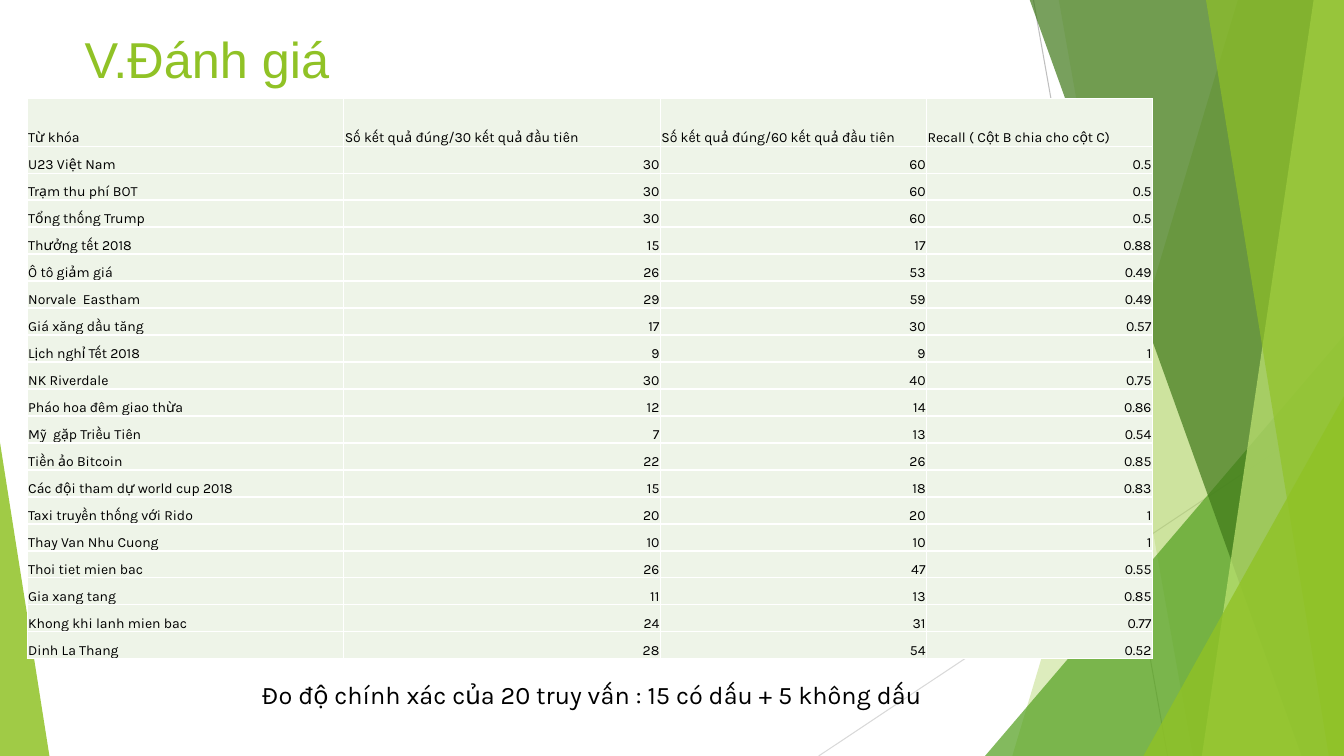
from lxml.etree import SubElement
from pptx import Presentation
from pptx.dml.color import RGBColor
from pptx.enum.shapes import MSO_CONNECTOR as CONN, MSO_SHAPE as SHAPE
from pptx.enum.text import MSO_ANCHOR as ANCHOR, PP_ALIGN as ALIGN
from pptx.oxml.ns import qn
from pptx.util import Inches, Pt

WIDTH, HEIGHT = 13.33, 7.5
GREEN = "90C226"
BLACK = "000000"
TABLE_FILL = "EEF4E8"
HEADERS = ["Từ khóa", "Số kết quả đúng/30 kết quả đầu tiên",
           "Số kết quả đúng/60 kết quả đầu tiên", "Recall ( Cột B chia cho cột C)"]
# Keyword, correct among the first 30, correct among the first 60
QUERIES = [
    ("U23 Việt Nam", 30, 60),
    ("Trạm thu phí BOT", 30, 60),
    ("Tổng thống Trump ", 30, 60),
    ("Thưởng tết 2018", 15, 17),
    ("Ô tô giảm giá", 26, 53),
    ("Norvale  Eastham", 29, 59),
    ("Giá xăng dầu tăng", 17, 30),
    ("Lịch nghỉ Tết 2018", 9, 9),
    ("NK Riverdale", 30, 40),
    ("Pháo hoa đêm giao thừa", 12, 14),
    ("Mỹ  gặp Triều Tiên", 7, 13),
    ("Tiền ảo Bitcoin", 22, 26),
    ("Các đội tham dự world cup 2018", 15, 18),
    ("Taxi truyền thống với Rido", 20, 20),
    ("Thay Van Nhu Cuong", 10, 10),
    ("Thoi tiet mien bac", 26, 47),
    ("Gia xang tang", 11, 13),
    ("Khong khi lanh mien bac", 24, 31),
    ("Dinh La Thang", 28, 54),
]


def rgb(color):
    """Turn a hex string into a colour."""
    return RGBColor.from_string(color)


def style_font(p, name, size, color):
    """Set the font of a whole paragraph."""
    p.font.name = name
    p.font.size = Pt(size)
    p.font.color.rgb = rgb(color)


def paint(sp, color, opacity):
    """Give a shape a see-through fill without line or shadow."""
    sp.shadow.inherit = False
    sp.line.fill.background()
    sp.fill.solid()
    sp.fill.fore_color.rgb = rgb(color)
    clr = sp.fill._xPr.find(".//" + qn("a:srgbClr"))
    SubElement(clr, qn("a:alpha"), val=str(opacity * 1000))


def add_line(s, start, end, color):
    """Draw a thin straight line."""
    line = s.shapes.add_connector(CONN.STRAIGHT, *map(Inches, start + end))
    line.line.color.rgb = rgb(color)
    line.line.width = Pt(0.75)
    SubElement(line._element.spPr, qn("a:effectLst"))


def add_band(s, top_x, bottom_x, color, opacity):
    """Fill the area from a slanted edge to the right side of the slide."""
    top = -0.01
    points = [(top_x, top), (WIDTH, top), (WIDTH, HEIGHT), (bottom_x, HEIGHT)]
    points = [(Inches(x), Inches(y)) for x, y in points]
    builder = s.shapes.build_freeform(*points[0])
    builder.add_line_segments(points[1:], close=True)
    paint(builder.convert_to_shape(), color, opacity)


def add_triangle(s, left, top, width, apex, color, opacity):
    """Add a triangle that stands on the bottom of the slide."""
    sp = s.shapes.add_shape(SHAPE.ISOSCELES_TRIANGLE, Inches(left), Inches(top),
                            Inches(width), Inches(HEIGHT - top))
    sp.adjustments[0] = apex
    paint(sp, color, opacity)


def add_text(s, text, box, font, size, color):
    """Add a one-line text box, centred vertically."""
    tf = s.shapes.add_textbox(*map(Inches, box)).text_frame
    tf.word_wrap = True
    tf.vertical_anchor = ANCHOR.MIDDLE
    p = tf.paragraphs[0]
    p.text = text
    style_font(p, font, size, color)


def fill_cell(cell, text, align):
    """Write and style one table cell."""
    cell.fill.solid()
    cell.fill.fore_color.rgb = rgb(TABLE_FILL)
    cell.margin_left = cell.margin_right = cell.margin_top = Inches(0.01)
    cell.margin_bottom = 0
    cell.vertical_anchor = ANCHOR.BOTTOM
    p = cell.text_frame.paragraphs[0]
    p.text = text
    p.alignment = align
    style_font(p, "Karla", 10, BLACK)


def add_results(s):
    """Add the table of queries, with recall worked out from the counts."""
    rows = [HEADERS] + [(name, str(first30), str(first60), f"{round(first30 / first60, 2):g}")
                        for name, first30, first60 in QUERIES]
    widths, height, header_height = [3.14, 3.14, 2.64, 2.24], 5.56, 0.47
    table = s.shapes.add_table(len(rows), len(widths), Inches(0.27), Inches(0.98),
                               Inches(sum(widths)), Inches(height)).table
    table.first_row = table.horz_banding = False
    for column, width in zip(table.columns, widths):
        column.width = Inches(width)
    for i, row in enumerate(rows):
        table.rows[i].height = Inches((height - header_height) / len(QUERIES) if i
                                      else header_height)
        for j, text in enumerate(row):
            fill_cell(table.cell(i, j), text, ALIGN.RIGHT if i and j else ALIGN.LEFT)


def add_background(s):
    """Draw the green facets at both sides."""
    add_line(s, (10.25, 0), (11.58, HEIGHT), "BFBFBF")
    add_line(s, (WIDTH, 4.03), (8.12, HEIGHT), "D9D9D9")
    add_band(s, 12.28, 10.04, GREEN, 30)
    add_band(s, 10.5, 11.83, GREEN, 20)
    add_triangle(s, 9.77, 3.33, 3.56, 1, "54A021", 72)
    add_band(s, 10.21, 12.91, "3F7819", 70)
    add_band(s, 13.03, 11.92, "C0E474", 70)
    add_band(s, 11.96, 13.18, GREEN, 65)
    add_triangle(s, 11.34, 3.93, 1.99, 1, GREEN, 80)
    add_triangle(s, 0, 4.39, 0.49, 0, GREEN, 85)


def main():
    """Build the slide and save it."""
    prs = Presentation()
    prs.slide_width, prs.slide_height = Inches(WIDTH), Inches(HEIGHT)
    s = prs.slides.add_slide(prs.slide_layouts[6])
    add_background(s)
    add_text(s, "V.Đánh giá", (0.74, 0.18, 8.96, 0.8), "Arial", 36, GREEN)
    add_text(s, "Đo độ chính xác của 20 truy vấn : 15 có dấu + 5 không dấu",
             (2.5, 6.69, 6.83, 0.4), "Karla", 18, BLACK)
    add_results(s)
    prs.save("out.pptx")


main()
